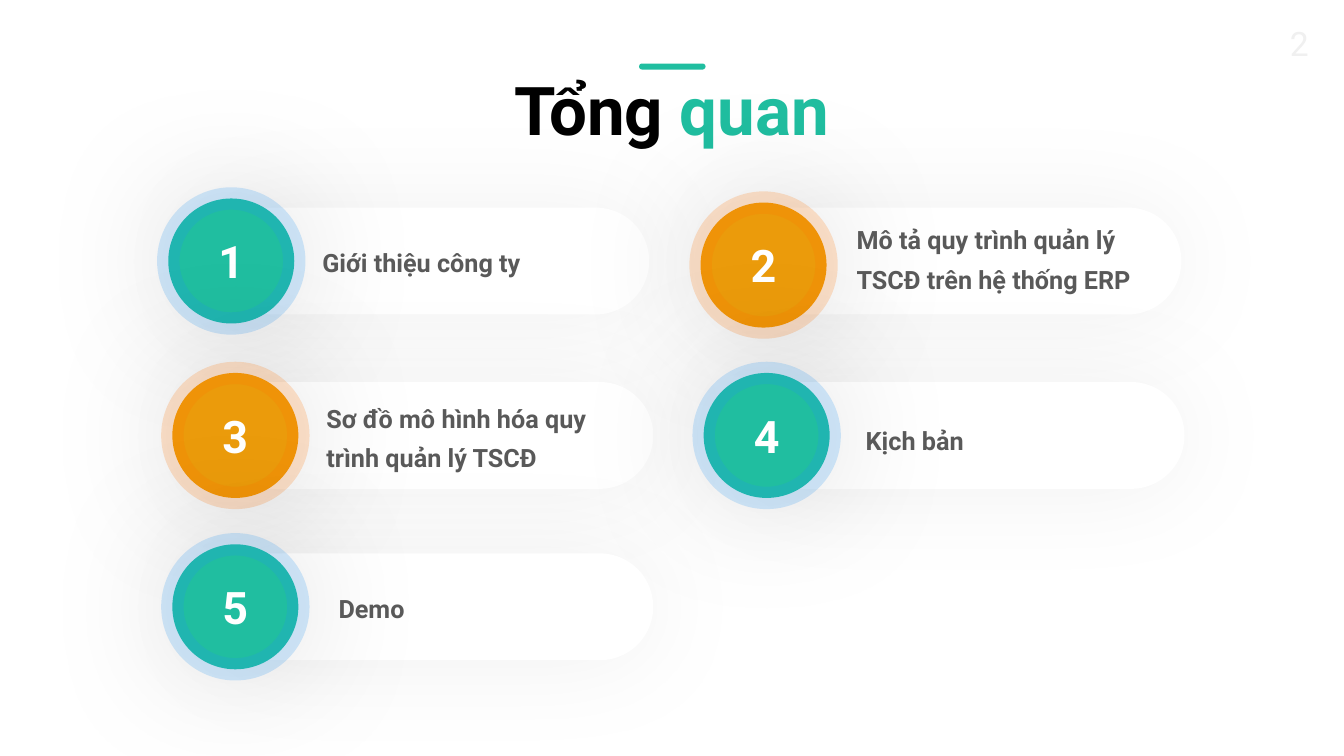
from lxml import etree
from pptx import Presentation
from pptx.dml.color import RGBColor
from pptx.enum.shapes import MSO_SHAPE as Shape
from pptx.enum.text import MSO_ANCHOR as Anchor, PP_ALIGN as Align
from pptx.oxml import parse_xml
from pptx.oxml.ns import nsdecls, qn
from pptx.util import Pt

FONT = "Roboto"
BLACK = RGBColor(0x00, 0x00, 0x00)
WHITE = RGBColor(0xFF, 0xFF, 0xFF)
GRAY = RGBColor(0x59, 0x59, 0x59)
PALE = RGBColor(0xF0, 0xF0, 0xF0)
GREEN = RGBColor(0x20, 0xBE, 0xA0)
BLUE = RGBColor(0x22, 0x94, 0xF2)
AMBER = RGBColor(0xEB, 0x9B, 0x0B)
ORANGE = RGBColor(0xFF, 0x73, 0x00)


def style(run, size, color, bold=True):
    run.font.name = FONT
    run.font.size = Pt(size)
    run.font.bold = bold
    run.font.color.rgb = color


def add_solid(kind, box, color, blur=0, alpha=0):
    """Add a filled shape; blur (points) and alpha (percent) give a soft shadow."""
    shape = slide.shapes.add_shape(kind, *map(Pt, box))
    shape.fill.solid()
    shape.fill.fore_color.rgb = color
    shape.line.fill.background()
    shape.shadow.inherit = False
    if kind == Shape.ROUNDED_RECTANGLE:
        shape.adjustments[0] = 0.5
    if blur:
        shape._element.spPr.find(qn("a:effectLst")).append(parse_xml(
            f'<a:outerShdw {nsdecls("a")} blurRad="{Pt(blur)}" dist="0" dir="0" '
            f'algn="ctr" rotWithShape="0"><a:srgbClr val="000000">'
            f'<a:alpha val="{alpha * 1000}"/></a:srgbClr></a:outerShdw>'))
    return shape


prs = Presentation()
prs.slide_width, prs.slide_height = Pt(960), Pt(540)
slide = prs.slides.add_slide(prs.slide_layouts[5])

# Title with its accent bar
title = slide.shapes.title
title.left, title.top, title.width, title.height = map(Pt, (61.2, 56.2, 837.4, 54))
frame = title.text_frame
frame.vertical_anchor = Anchor.TOP
para = frame.paragraphs[0]
para.alignment = Align.CENTER
para.line_spacing = 0.8
for word, color in (("Tổng ", BLACK), ("quan", GREEN)):
    run = para.add_run()
    run.text = word
    style(run, 48, color)
add_solid(Shape.ROUNDED_RECTANGLE, (456.5, 45.4, 47.5, 4.3), GREEN)

# Agenda: disc left and top, pill top, label box, label
items = [
    (120.2, 141.8, 148.3, (223.2, 166.3, 228.2, 35.3), "Giới thiệu công ty"),
    (500.4, 144.7, 148.3, (604.8, 150.5, 241.9, 64.1),
     "Mô tả quy trình quản lý TSCĐ trên hệ thống ERP"),
    (123.1, 266.4, 272.9, (226.1, 277.9, 235.4, 64.1),
     "Sơ đồ mô hình hóa quy trình quản lý TSCĐ"),
    (502.6, 266.4, 272.9, (611.3, 293.8, 219.6, 33.1), "Kịch bản"),
    (123.1, 388.8, 395.3, (234.7, 414, 219.6, 33.1), "Demo"),
]
tones = {1: (GREEN, BLUE), 2: (AMBER, ORANGE), 3: (AMBER, ORANGE),
         4: (GREEN, BLUE), 5: (GREEN, BLUE)}
for num, (left, top, pill, box, label) in enumerate(items, 1):
    add_solid(Shape.ROUNDED_RECTANGLE, (left + 24.5, pill, 319, 76.3), WHITE, 76, 5)

    fill, ring = tones[num]
    disc = add_solid(Shape.OVAL, (left, top, 90, 89.3), fill, 100, 14)
    disc.line.color.rgb = ring
    disc.line.width = Pt(16)
    tint = disc.line._ln.find(".//" + qn("a:srgbClr"))
    etree.SubElement(tint, qn("a:alpha"), val="20000")
    frame = disc.text_frame
    frame.vertical_anchor = Anchor.MIDDLE
    frame.text = str(num)
    para = frame.paragraphs[0]
    para.alignment = Align.CENTER
    style(para.runs[0], 32, WHITE)

    frame = slide.shapes.add_textbox(*map(Pt, box)).text_frame
    frame.word_wrap = True
    frame.text = label
    para = frame.paragraphs[0]
    para.line_spacing = 1.3
    para.space_after = Pt(4)
    style(para.runs[0], 18, GRAY)

# Page number
frame = slide.shapes.add_textbox(Pt(890), Pt(13), Pt(52), Pt(36)).text_frame
frame.word_wrap = True
frame.text = "2"
para = frame.paragraphs[0]
para.alignment = Align.RIGHT
style(para.runs[0], 24, PALE, False)

prs.save("out.pptx")
